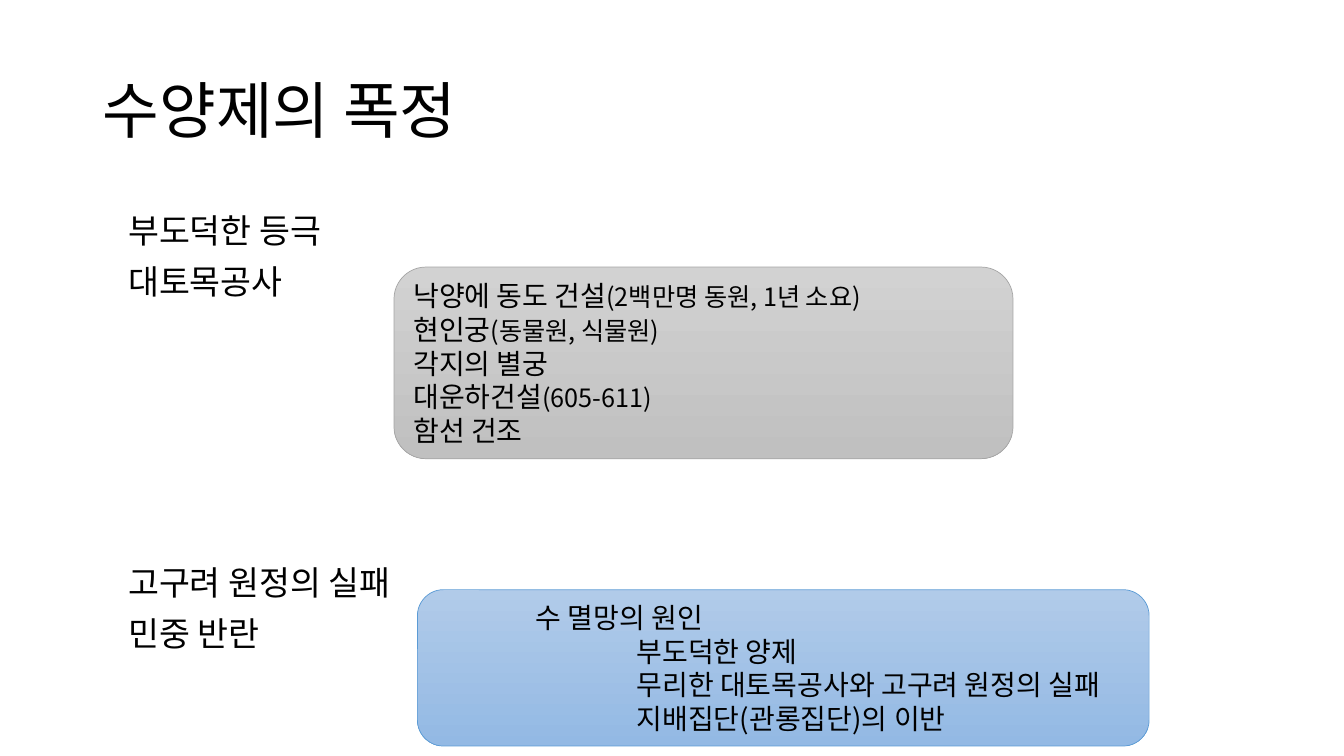
from dataclasses import dataclass

from lxml import etree
from pptx import Presentation
from pptx.dml.color import RGBColor
from pptx.enum.shapes import MSO_SHAPE
from pptx.enum.text import MSO_ANCHOR, PP_ALIGN
from pptx.oxml.ns import qn
from pptx.util import Cm, Pt

ROUNDED = MSO_SHAPE.ROUNDED_RECTANGLE
TOP, MIDDLE = MSO_ANCHOR.TOP, MSO_ANCHOR.MIDDLE
LEFT = PP_ALIGN.LEFT


@dataclass(frozen=True)
class Theme:
    """Fonts, type sizes and colours of the slide."""
    korean: str = "Noto Sans CJK KR"
    title_font: str = "Calibri"
    heading_font: str = "Arial"
    title: int = 44
    body: int = 24
    card: int = 20
    detail: int = 18
    text: str = "000000"
    grey: tuple = ("D2D2D2", "C0C0C0", "A5A5A5")
    blue: tuple = ("B1CBE9", "93B9E4", "5B9BD5")


@dataclass(frozen=True)
class Line:
    """One paragraph: text, smaller detail, indent in cm, space before, font."""
    text: str
    detail: str = ""
    indent: float = 0
    before: float = 0
    font: str = ""


class Deck:
    """Draws the elements of one slide in a single style."""

    def __init__(self, prs, theme):
        self.theme = theme
        self.slide = prs.slides.add_slide(prs.slide_layouts[6])

    def fill_text(self, tf, lines, size, spacing, anchor):
        """Fill a text frame with styled paragraphs."""
        tf.word_wrap = True
        tf.vertical_anchor = anchor
        for i, line in enumerate(lines):
            p = tf.paragraphs[0] if i == 0 else tf.add_paragraph()
            p.alignment = LEFT
            p.line_spacing = spacing
            p.space_before = Pt(line.before)
            p.font.size = Pt(size)
            p.font.name = line.font or self.theme.korean
            p.font.color.rgb = RGBColor.from_string(self.theme.text)
            pPr = p._p.get_or_add_pPr()
            pPr.set("marL", str(Cm(line.indent)))
            latin = pPr.find(qn("a:defRPr")).find(qn("a:latin"))
            ea = etree.Element(qn("a:ea"), typeface=self.theme.korean)
            latin.addnext(ea)
            p.add_run().text = line.text
            if line.detail:
                r = p.add_run()
                r.text = line.detail
                r.font.size = Pt(self.theme.detail)

    def text(self, box, lines, size, spacing, anchor=TOP):
        """Add a plain text box."""
        sp = self.slide.shapes.add_textbox(*map(Cm, box))
        self.fill_text(sp.text_frame, lines, size, spacing, anchor)

    def card(self, box, lines, colours):
        """Add a rounded card with a vertical gradient."""
        *stops, border = map(RGBColor.from_string, colours)
        sp = self.slide.shapes.add_shape(ROUNDED, *map(Cm, box))
        sp.shadow.inherit = False
        sp.fill.gradient()
        sp.fill.gradient_angle = 270
        for position, (stop, colour) in enumerate(zip(sp.fill.gradient_stops, stops)):
            stop.position = position
            stop.color.rgb = colour
        sp.line.color.rgb = border
        sp.line.width = Pt(0.5)
        self.fill_text(sp.text_frame, lines, self.theme.card, Pt(24), MIDDLE)


def main():
    """Build and save the slide."""
    prs = Presentation()
    prs.slide_width, prs.slide_height = Cm(33.87), Cm(19.05)
    theme = Theme()
    deck = Deck(prs, theme)
    deck.text((2.34, 5.26, 29.21, 11.9), [
        Line("부도덕한 등극", indent=0.64),
        Line("대토목공사", indent=0.64, before=10),
        Line("고구려 원정의 실패", indent=0.64, before=188.6),
        Line("민중 반란", indent=0.64, before=10),
    ], theme.body, Pt(26.4))
    deck.text((2.34, 1.02, 29.21, 3.68),
              [Line("수양제의 폭정", font=theme.title_font)],
              theme.title, 0.9, MIDDLE)
    deck.card((9.93, 6.73, 15.6, 4.83), [
        Line("낙양에 동도 건설", "(2백만명 동원, 1년 소요)"),
        Line("현인궁", "(동물원, 식물원)"),
        Line("각지의 별궁"),
        Line("대운하건설", "(605-611)"),
        Line("함선 건조"),
    ], theme.grey)
    deck.card((10.52, 14.86, 18.44, 3.94), [
        Line("수 멸망의 원인", indent=2.54, font=theme.heading_font),
        Line("부도덕한 양제", indent=5.08),
        Line("무리한 대토목공사와 고구려 원정의 실패", indent=5.08),
        Line("지배집단(관롱집단)의 이반", indent=5.08),
    ], theme.blue)
    prs.save("out.pptx")


if __name__ == "__main__":
    main()
